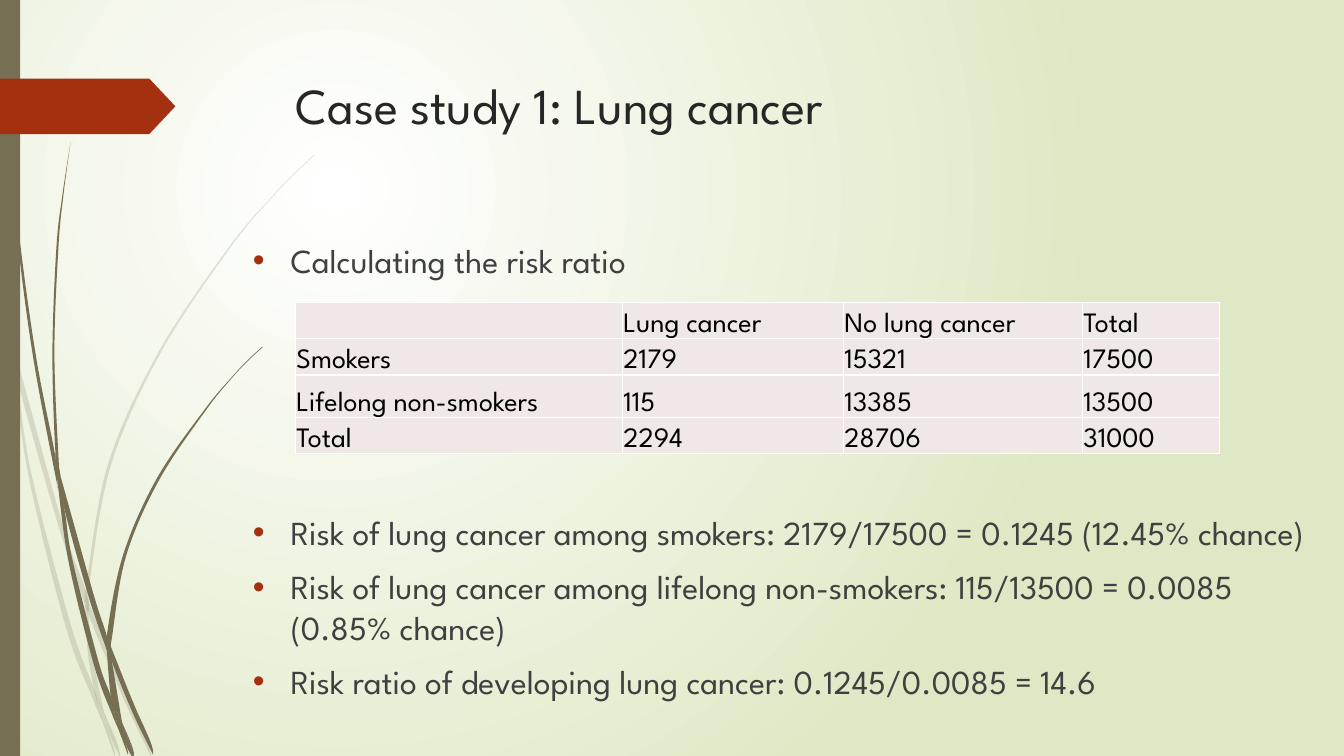
from dataclasses import dataclass

from lxml.etree import SubElement as add_element
from pptx import Presentation
from pptx.dml.color import RGBColor
from pptx.enum.shapes import MSO_SHAPE
from pptx.enum.text import MSO_ANCHOR
from pptx.oxml import parse_xml
from pptx.oxml.ns import nsdecls, qn
from pptx.util import Emu, Inches, Pt

COLUMNS, ROWS = 133.33, 75
CELL = Inches(0.1)
COLORS = {
    "grass": "766F54", "arrow": "A53010", "title": "262626", "body": "404040",
    "table_text": "000000", "cell": "F0E8E7", "border": "FFFFFF",
    "glow": "FFFFFF", "backdrop": "DFE8C4",
}
FONT = "League Spartan"
TITLE_FONT = {"name": FONT, "size": Pt(36)}
BODY_FONT = {"name": FONT, "size": Pt(24)}
TABLE_FONT = {"name": FONT, "size": Pt(20)}
CELL_FORMAT = {
    "margin_left": Inches(0.01), "margin_right": Inches(0.01),
    "margin_top": Inches(0.01), "margin_bottom": 0,
    "vertical_anchor": MSO_ANCHOR.BOTTOM,
}
TABLE_FORMAT = {"first_row": False, "horz_banding": False}


@dataclass(frozen=True)
class Box:
    column: float
    row: float
    columns: float
    rows: float

    def lengths(self) -> tuple:
        return tuple(cells(n) for n in (self.column, self.row, self.columns, self.rows))


@dataclass(frozen=True)
class Blade:
    near: tuple
    far: tuple


@dataclass(frozen=True)
class Bullet:
    text: str
    space_before: float = 10


FADED_BLADES = [
    Blade((0, 28.2, 0.6, 30.9, 0.9, 32.2, 1.1, 35), (0, 29.9, 1, 34.4, 1.1, 35)),
    Blade((1.4, 34.5, 1.7, 37.6, 5.8, 52.2, 8.4, 59.9),
          (1.4, 34.5, 6.2, 52, 8.5, 58.6, 8.4, 59.9)),
    Blade((8.8, 59.6, 8.8, 61, 12.3, 69.4, 15, 75.1),
          (8.8, 59.6, 9.2, 60.7, 12.7, 69.2, 15.5, 75.1)),
    Blade((10.5, 71.1, 11.9, 75.1), (10.5, 71.1, 12.4, 75.1)),
    Blade((1.1, 35, 2.8, 47, 6.5, 62.1, 9.2, 69.3, 10.1, 71.4),
          (1.1, 35, 1.7, 37.6, 3.1, 46.9, 7, 61.9, 9.3, 68.3, 9.9, 70.7, 10.1, 71.4)),
    Blade((8.4, 59.9, 8.7, 64.6, 9.3, 68.3, 9.6, 69.2, 10.5, 71.1),
          (8.4, 59.9, 8.8, 61, 9.1, 64.6, 10.3, 70.6, 10.5, 71.1)),
    Blade((31.2, 15.3, 28.9, 17.5, 26.8, 19.7, 22.8, 24.4, 15.8, 34.8, 10.7, 46.1,
           8.5, 58.4, 8.5, 58.6, 8.8, 59.6),
          (31.2, 15.4, 29, 17.5, 26.8, 19.8, 22.9, 24.5, 16, 34.9, 11, 46.2,
           8.8, 58.4, 8.8, 59.6)),
    Blade((10.1, 71.4, 11.4, 75.1), (10.1, 71.4, 11.9, 75.1)),
    Blade((8.5, 58.6, 8.4, 59.9, 8.8, 60.8), (8.5, 58.6, 8.8, 59.6, 8.8, 60.8)),
    Blade((9.3, 68.3, 9.9, 70.7, 10.1, 71.4, 11.9, 75.1),
          (9.3, 68.3, 9.6, 69.2, 10.5, 71.1, 11.9, 75.1)),
]
SOLID_BLADES = [
    Blade((0.3, 0, 0.4, 4.8, 0.7, 11, 1.7, 23.3, 3.3, 35.5, 5.6, 47.7, 5.7, 48.1),
          (0.4, 0, 0.5, 4.8, 0.8, 10.9, 1.9, 23.2, 3.6, 35.5, 5.5, 45.3, 5.7, 48.1)),
    Blade((6, 47.2, 6.4, 50.5, 8.8, 59.2, 10.6, 64.5),
          (6, 47.2, 9.3, 59, 10.6, 63.1, 10.6, 64.5)),
    Blade((11, 64.1, 11.1, 65.6, 13.2, 70.8, 15.2, 74.9),
          (11, 64.1, 11.3, 64.9, 13.6, 70.6, 15.7, 74.9)),
    Blade((5.7, 47.7, 6.8, 55.7, 9.3, 65.9, 11.1, 70.8, 11.7, 72.2),
          (5.7, 47.7, 6.4, 50.5, 7.2, 55.6, 9.8, 65.7, 11, 69.1, 11.7, 72.2)),
    Blade((7, 14.1, 6.2, 19.3, 5.6, 24.5, 5.2, 34.9, 5.5, 44.9, 6, 47.2),
          (7, 14.1, 6.3, 19.3, 5.8, 24.5, 5.4, 34.9, 5.8, 45.3, 6, 47.2)),
    Blade((12.2, 71.9, 13.3, 74.9), (12.2, 71.9, 13.6, 74.9)),
    Blade((5.5, 44.9, 5.5, 45.3, 5.7, 47.7, 6.4, 50.5), (5.5, 44.9, 6, 47.2, 6.4, 50.5)),
    Blade((26, 34.4, 24.5, 35.8, 23.1, 37.3, 20.4, 40.5, 15.6, 47.4, 12.2, 55.1,
           10.6, 63.1, 11, 64.1),
          (26.1, 34.4, 24.5, 35.9, 23.1, 37.4, 20.5, 40.6, 15.8, 47.6, 12.5, 55.2,
           11.1, 63.3, 11, 64.1)),
    Blade((11.7, 72.2, 12.7, 74.9), (11.7, 72.2, 13.1, 74.9)),
    Blade((10.6, 64.5, 11, 69.1, 11.6, 70.6, 12.2, 71.9),
          (10.6, 64.5, 10.9, 65.1, 11.1, 65.6, 12.1, 71.6, 12.2, 71.9)),
    Blade((10.6, 63.1, 10.6, 64.5, 11.1, 65.6), (10.6, 63.1, 11, 64.1, 11.1, 65.6)),
    Blade((11, 69.1, 11.6, 71.7, 11.7, 72.2, 13, 74.9, 13.3, 74.9),
          (11, 69.1, 11.6, 70.6, 12.2, 71.9, 13.3, 74.9)),
]
BULLETS = [
    Bullet("Calculating the risk ratio"),
    Bullet("Risk of lung cancer among smokers: 2179/17500 = 0.1245 (12.45% chance)", 165.6),
    Bullet("Risk of lung cancer among lifelong non-smokers: 115/13500 = 0.0085 (0.85% chance)"),
    Bullet("Risk ratio of developing lung cancer: 0.1245/0.0085 = 14.6"),
]
CASES = [
    ("", "Lung cancer", "No lung cancer", "Total"),
    ("Smokers", "2179", "15321", "17500"),
    ("Lifelong non-smokers", "115", "13385", "13500"),
    ("Total", "2294", "28706", "31000"),
]
CASE_COLUMNS = (32.45, 21.93, 23.7, 13.62)
CASE_ROWS = (3.6, 3.6, 4.2, 3.6)


def cells(count: float) -> Emu:
    return Emu(round(count * CELL))


def color(name: str) -> RGBColor:
    return RGBColor.from_string(COLORS[name])


def apply_format(target, values: dict) -> None:
    for name, value in values.items():
        setattr(target, name, value)


def curve_points(points: list) -> list:
    padded = [points[0], *points, points[-1]]
    curve = []
    for a, b, c, d in zip(padded, padded[1:], padded[2:], padded[3:]):
        curve.append(tuple(q + (r - p) / 6 for p, q, r in zip(a, b, c)))
        curve.append(tuple(r - (s - q) / 6 for q, r, s in zip(b, c, d)))
        curve.append(c)
    return curve


def paint(shape, name: str) -> None:
    shape.shadow.inherit = False
    shape.fill.solid()
    shape.fill.fore_color.rgb = color(name)
    shape.line.fill.background()


def draw_background(slide) -> None:
    fill = slide.background.fill
    fill.gradient()
    for stop, name, position in zip(fill.gradient_stops, ("glow", "backdrop"), (0, 1)):
        stop.color.rgb = color(name)
        stop.position = position
    linear = next(slide.background._cSld.iter(qn("a:lin")))
    linear.getparent().replace(linear, parse_xml(
        f'<a:path {nsdecls("a")} path="circle">'
        '<a:fillToRect l="50000" t="50000" r="100000" b="100000"/></a:path>'))


def draw_blade(slide, blade: Blade, opacity: int) -> None:
    near, far = (list(zip(edge[::2], edge[1::2])) for edge in (blade.near, blade.far))
    start, *rest = [(cells(x), cells(y))
                    for x, y in near[:1] + curve_points(near) + curve_points(far[::-1])]
    builder = slide.shapes.build_freeform(*start, scale=1.0)
    builder.add_line_segments(rest, close=True)
    shape = builder.convert_to_shape()
    lines = list(shape._element.spPr.iter(qn("a:lnTo")))
    for first, second, third in zip(lines[::3], lines[1::3], lines[2::3]):
        curve = parse_xml(f'<a:cubicBezTo {nsdecls("a")}/>')
        first.addprevious(curve)
        for line in (first, second, third):
            curve.append(line[0])
            line.getparent().remove(line)
    paint(shape, "grass")
    if opacity < 100:
        tint = next(shape._element.spPr.iter(qn("a:srgbClr")))
        add_element(tint, qn("a:alpha"), val=str(opacity * 1000))


def draw_shape(slide, kind: MSO_SHAPE, box: Box, name: str):
    shape = slide.shapes.add_shape(kind, *box.lengths())
    paint(shape, name)
    return shape


def write(paragraph, text: str, font: dict, name: str) -> None:
    run = paragraph.add_run()
    run.text = text
    apply_format(run.font, font)
    run.font.color.rgb = color(name)


def add_text_frame(slide, box: Box):
    frame = slide.shapes.add_textbox(*box.lengths()).text_frame
    frame.word_wrap = True
    return frame


def draw_bullets(slide, box: Box, bullets: list) -> None:
    frame = add_text_frame(slide, box)
    for index, bullet in enumerate(bullets):
        paragraph = frame.add_paragraph() if index else frame.paragraphs[0]
        paragraph.space_before = Pt(bullet.space_before)
        properties = paragraph._p.get_or_add_pPr()
        properties.set("marL", str(cells(3.75)))
        properties.set("indent", str(cells(-3.75)))
        tint = add_element(properties, qn("a:buClr"))
        add_element(tint, qn("a:srgbClr"), val=COLORS["arrow"])
        add_element(properties, qn("a:buFont"), typeface="Arial")
        add_element(properties, qn("a:buChar"), char="•")
        write(paragraph, bullet.text, BODY_FONT, "body")


def draw_table(slide, box: Box) -> None:
    table = slide.shapes.add_table(len(CASES), len(CASES[0]), *box.lengths()).table
    apply_format(table, TABLE_FORMAT)
    for column, width in zip(table.columns, CASE_COLUMNS):
        column.width = cells(width)
    for row, height, texts in zip(table.rows, CASE_ROWS, CASES):
        row.height = cells(height)
        for cell, text in zip(row.cells, texts):
            apply_format(cell, CELL_FORMAT)
            cell.fill.solid()
            cell.fill.fore_color.rgb = color("cell")
            for index, side in enumerate("LRTB"):
                cell._tc.tcPr.insert(index, parse_xml(
                    f'<a:ln{side} {nsdecls("a")} w="12700"><a:solidFill>'
                    f'<a:srgbClr val="{COLORS["border"]}"/></a:solidFill></a:ln{side}>'))
            if text:
                write(cell.text_frame.paragraphs[0], text, TABLE_FONT, "table_text")


def main() -> None:
    presentation = Presentation()
    presentation.slide_width, presentation.slide_height = cells(COLUMNS), cells(ROWS)
    slide = presentation.slides.add_slide(presentation.slide_layouts[6])
    draw_background(slide)
    for blades, opacity in ((FADED_BLADES, 20), (SOLID_BLADES, 100)):
        for blade in blades:
            draw_blade(slide, blade, opacity)
    draw_shape(slide, MSO_SHAPE.RECTANGLE, Box(0, 0, 2, ROWS), "grass")
    arrow = draw_shape(slide, MSO_SHAPE.PENTAGON, Box(0, 7.8, 17.4, 5.5), "arrow")
    arrow.adjustments[0] = 0.47
    title = add_text_frame(slide, Box(28.35, 6.85, 97.5, 14))
    write(title.paragraphs[0], "Case study 1: Lung cancer", TITLE_FONT, "title")
    draw_bullets(slide, Box(24.1, 23.3, 107.5, 49), BULLETS)
    draw_table(slide, Box(29.3, 30, sum(CASE_COLUMNS), sum(CASE_ROWS)))
    presentation.save("out.pptx")


if __name__ == "__main__":
    main()
